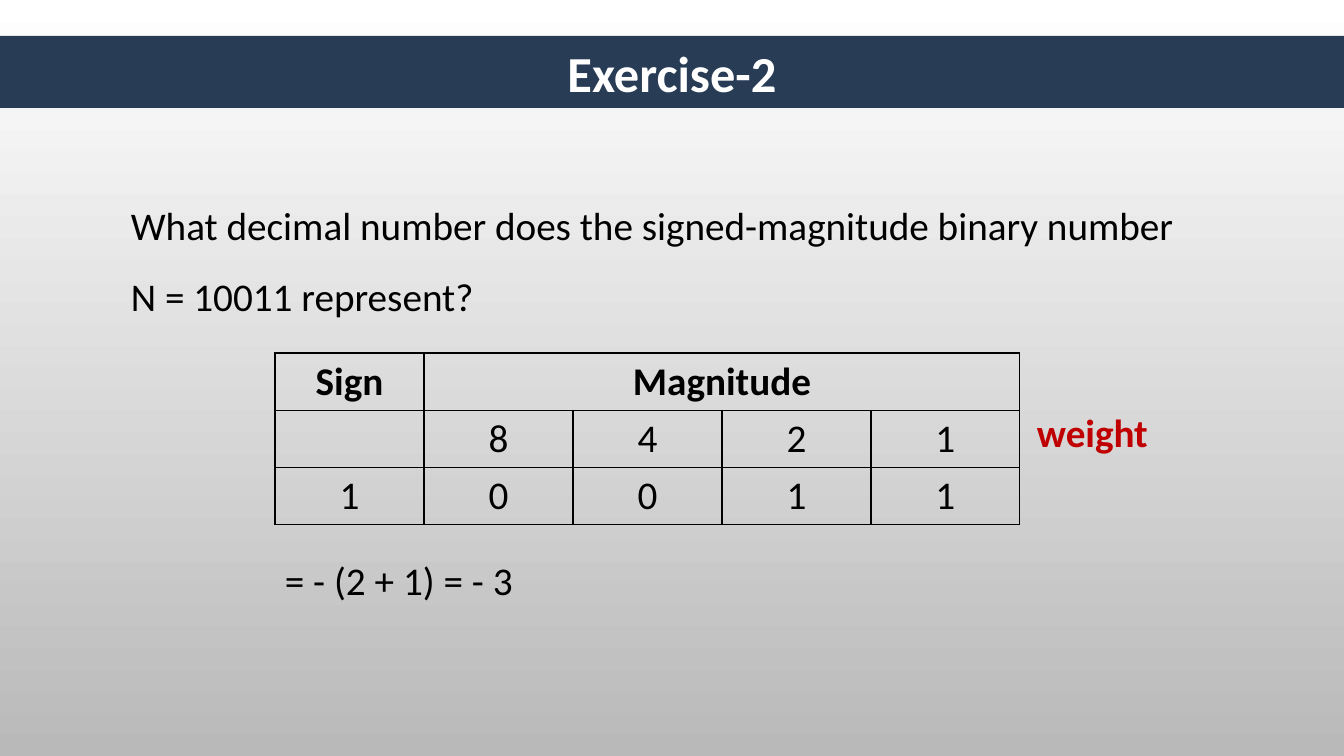
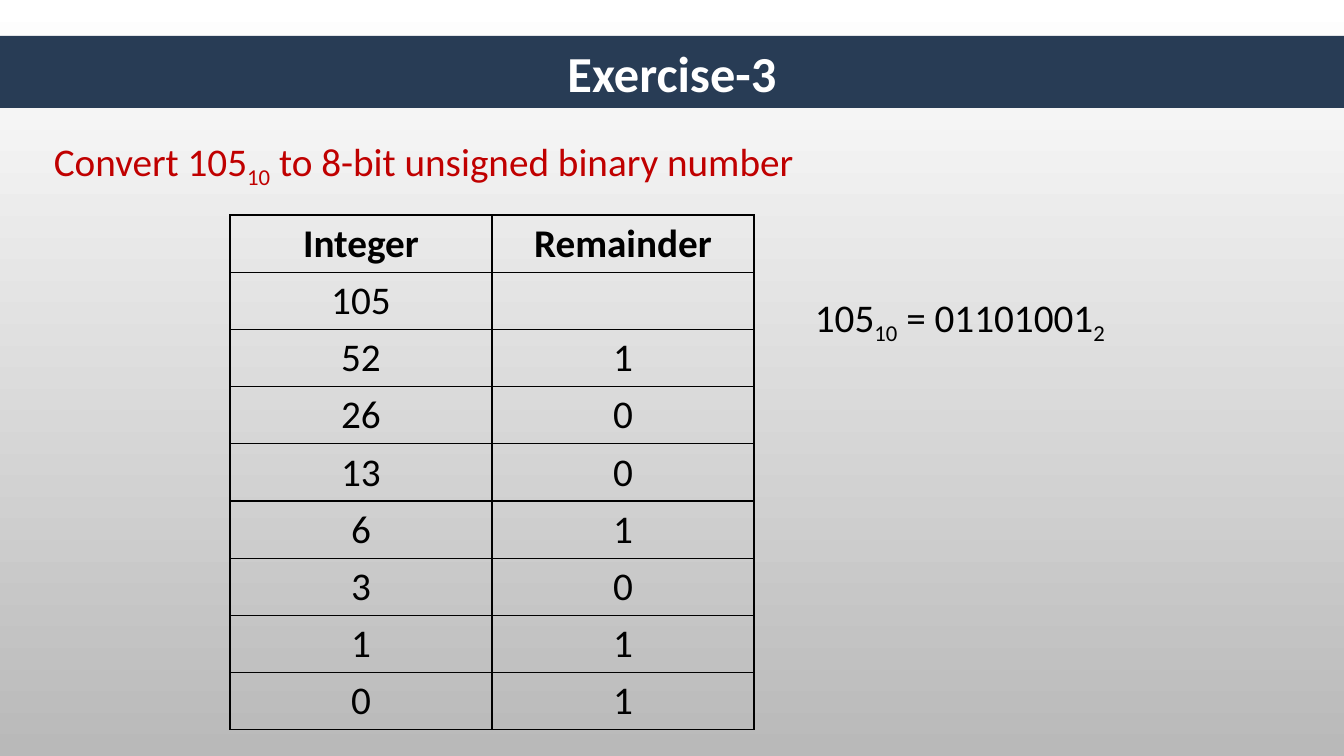
import pptx
import pptx.dml.color
import pptx.enum.shapes
import pptx.enum.text
import pptx.oxml
import pptx.oxml.ns
import pptx.util

PX_PER_INCH = 100.8
PAGE_WIDTH, PAGE_HEIGHT = 1344, 756
ROW_HEIGHT = 57
LINE_HEIGHT = 58

FONT = "Calibri"
BODY_SIZE, TITLE_SIZE = 28, 36

NAVY = pptx.dml.color.RGBColor(0x28, 0x3C, 0x55)
RED = pptx.dml.color.RGBColor(0xC0, 0x00, 0x00)
BLACK = pptx.dml.color.RGBColor(0x00, 0x00, 0x00)
WHITE = pptx.dml.color.RGBColor(0xFF, 0xFF, 0xFF)
GREY = pptx.dml.color.RGBColor(0xB9, 0xB9, 0xB9)

CENTER = pptx.enum.text.PP_ALIGN.CENTER
MIDDLE = pptx.enum.text.MSO_ANCHOR.MIDDLE


def px(length):
    return pptx.util.Emu(round(length * 914400 / PX_PER_INCH))


def add_span(para, text, color=BLACK, size=BODY_SIZE, bold=False, subscript=False):
    span = para.add_run()
    span.text = text
    span.font.name = FONT
    span.font.size = pptx.util.Pt(size)
    span.font.bold = bold
    span.font.color.rgb = color
    if subscript:
        span._r.get_or_add_rPr().set("baseline", "-25000")


def add_text(page, box, paragraphs, color=BLACK, bold=False, wrap=False, spacing=None):
    """Each paragraph is a list of texts; every second text is a subscript."""
    frame = page.shapes.add_textbox(*map(px, box)).text_frame
    frame.word_wrap = wrap
    frame.auto_size = pptx.enum.text.MSO_AUTO_SIZE.SHAPE_TO_FIT_TEXT
    for index, texts in enumerate(paragraphs):
        para = frame.add_paragraph() if index else frame.paragraphs[0]
        if spacing:
            para.line_spacing = spacing
        for position, text in enumerate(texts):
            add_span(para, text, color, bold=bold, subscript=position % 2 == 1)


def add_title_band(page, box, title):
    band = page.shapes.add_shape(
        pptx.enum.shapes.MSO_SHAPE.RECTANGLE, *map(px, box))
    band.shadow.inherit = False
    band.fill.solid()
    band.fill.fore_color.rgb = NAVY
    band.line.fill.background()
    band.text_frame.vertical_anchor = MIDDLE
    para = band.text_frame.paragraphs[0]
    para.alignment = CENTER
    add_span(para, title, WHITE, TITLE_SIZE, bold=True)


def add_page(deck, title):
    """Add a page with the shared gradient background and title band."""
    page = deck.slides.add_slide(deck.slide_layouts[6])
    fill = page.background.fill
    fill.gradient()
    fill.gradient_angle = 270
    for stop, color in zip(fill.gradient_stops, (WHITE, GREY)):
        stop.color.rgb = color
    add_title_band(page, (0, 36, PAGE_WIDTH, 72), title)
    return page


def draw_borders(cell):
    properties = cell._tc.get_or_add_tcPr()
    for side in ("lnL", "lnR", "lnT", "lnB"):
        properties.append(pptx.oxml.parse_xml(
            f'<a:{side} {pptx.oxml.ns.nsdecls("a")} w="12700"><a:solidFill>'
            f'<a:srgbClr val="{BLACK}"/></a:solidFill></a:{side}>'))


def add_grid(page, left, top, column_width, rows):
    """Add a bordered table whose first row is a bold header."""
    columns = len(rows[0])
    table = page.shapes.add_table(
        len(rows), columns, px(left), px(top),
        px(column_width * columns), px(ROW_HEIGHT * len(rows))).table
    table.first_row = False
    table.horz_banding = False
    for row_index, texts in enumerate(rows):
        for column_index, text in enumerate(texts):
            cell = table.cell(row_index, column_index)
            draw_borders(cell)
            cell.fill.background()
            cell.vertical_anchor = MIDDLE
            para = cell.text_frame.paragraphs[0]
            para.alignment = CENTER
            if text:
                add_span(para, text, bold=row_index == 0)
    return table


def build_signed_magnitude(deck):
    page = add_page(deck, "Exercise-2")
    add_text(page, (121, 173, 1079, 152), [
        ["What decimal number does the signed-magnitude binary number"],
        ["N = 10011 represent?"],
    ], wrap=True, spacing=1.5)

    left, top, column_width = 275, 353, 149
    table = add_grid(page, left, top, column_width, [
        ["Sign", "Magnitude", "", "", ""],
        ["", "8", "4", "2", "1"],
        ["1", "0", "0", "1", "1"],
    ])
    table.cell(0, 1).merge(table.cell(0, 4))

    right = left + 5 * column_width
    add_text(page, (right + 7, top + 50, 133, LINE_HEIGHT), [["weight"]], RED, bold=True)
    add_text(page, (left, top + 198, 290, LINE_HEIGHT), [["= - (2 + 1) = - 3"]])


def build_unsigned_conversion(deck):
    page = add_page(deck, "Exercise-3")
    add_text(page, (44, 132, 766, LINE_HEIGHT),
             [["Convert 105", "10", " to 8-bit unsigned binary number"]], RED)

    number = 105
    rows = [["Integer", "Remainder"], [str(number), ""]]
    while number:
        number, remainder = divmod(number, 2)
        rows.append([str(number), str(remainder)])
    add_grid(page, 230, 215, 262, rows)

    add_text(page, (805, 288, 353, LINE_HEIGHT), [["105", "10", " = 01101001", "2"]])


def main():
    deck = pptx.Presentation()
    deck.slide_width, deck.slide_height = px(PAGE_WIDTH), px(PAGE_HEIGHT)
    build_signed_magnitude(deck)
    build_unsigned_conversion(deck)
    deck.save("out.pptx")


if __name__ == "__main__":
    main()
